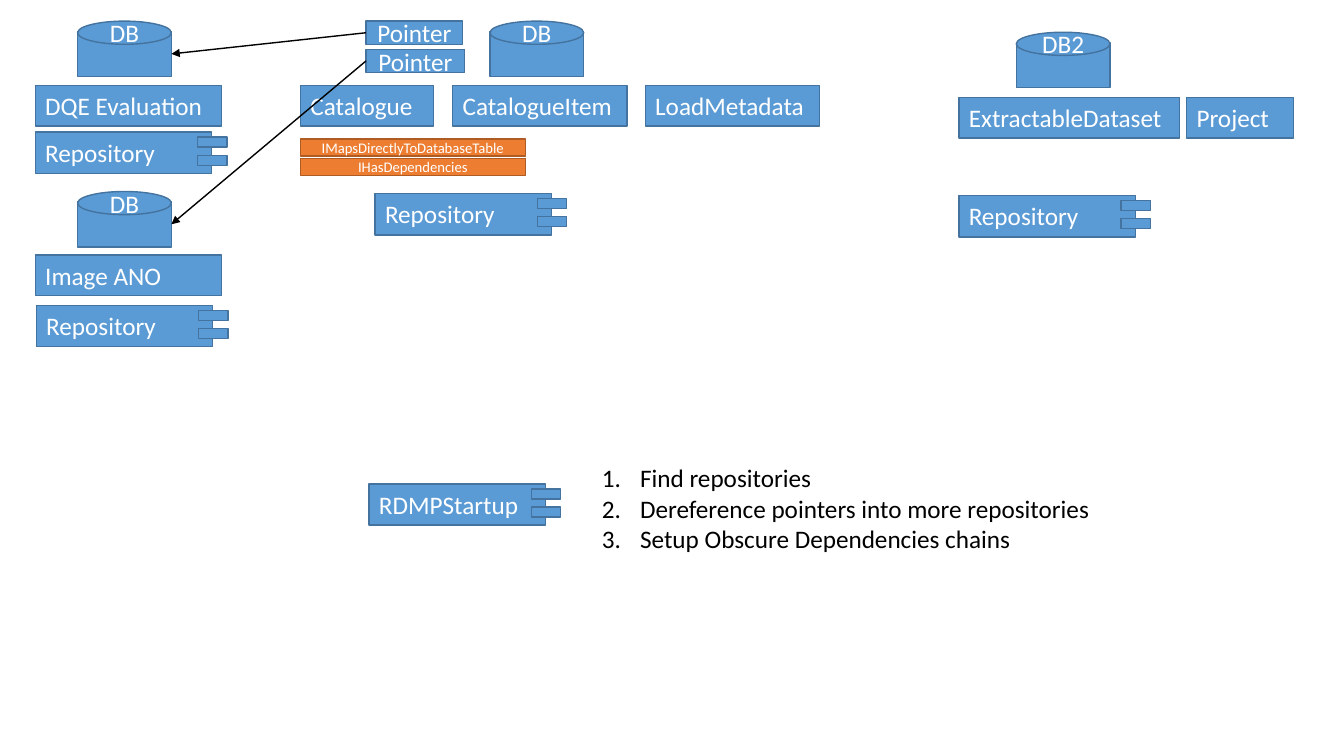
from pptx import Presentation
from pptx.dml.color import RGBColor
from pptx.enum import shapes, text
from pptx.oxml.ns import qn
from pptx.util import Inches, Pt
from lxml import etree

BLUE, BLUE_EDGE = "5B9BD5", "43739E"
ORANGE, ORANGE_EDGE = "ED7D31", "AF5C24"
RECT = shapes.MSO_SHAPE.RECTANGLE
OVAL = shapes.MSO_SHAPE.OVAL


def color(value):
    return RGBColor.from_string(value)


def style_text(paragraph, size, font_color):
    paragraph.font.size = Pt(size)
    paragraph.font.name = "Calibri"
    paragraph.font.color.rgb = color(font_color)


def add_block(parent, kind, left, top, width, height, fill=BLUE, edge=BLUE_EDGE):
    block = parent.add_shape(kind, Inches(left), Inches(top), Inches(width), Inches(height))
    block.shadow.inherit = False
    block.fill.solid()
    block.fill.fore_color.rgb = color(fill)
    block.line.color.rgb = color(edge)
    block.line.width = Pt(1)
    return block


def write_label(block, label, size=18, centered=True):
    frame = block.text_frame
    frame.word_wrap = True
    paragraph = frame.paragraphs[0]
    paragraph.text = label
    style_text(paragraph, size, "FFFFFF")
    if centered:
        frame.margin_left = frame.margin_right = 0
        frame.vertical_anchor = text.MSO_ANCHOR.MIDDLE
        paragraph.alignment = text.PP_ALIGN.CENTER
    else:
        frame.vertical_anchor = text.MSO_ANCHOR.TOP
        paragraph.alignment = text.PP_ALIGN.LEFT


def add_class(parent, label, left, top, width, height=0.4):
    write_label(add_block(parent, RECT, left, top, width, height), label, centered=False)


def add_database(parent, label, left, top):
    body = add_block(parent, RECT, left, top + 0.1, 0.93, 0.45)
    write_label(add_block(parent, OVAL, left, top, 0.93, 0.23), label)
    return body


def add_component(parent, label, left, top):
    parts = parent.add_group_shape().shapes
    add_class(parts, label, left, top, 1.75, 0.41)
    for offset in (0.05, 0.23):
        add_block(parts, RECT, left + 1.61, top + offset, 0.29, 0.1)


def add_interface(parent, label, top):
    bar = add_block(parent, RECT, 2.98, top, 2.23, 0.17, ORANGE, ORANGE_EDGE)
    write_label(bar, label, 10.5)


def add_pointer(parent, top, width, database):
    pointer = add_block(parent, RECT, 3.63, top, width, 0.23)
    write_label(pointer, "Pointer")
    arrow = parent.add_connector(shapes.MSO_CONNECTOR.STRAIGHT, 0, 0, 0, 0)
    arrow.begin_connect(pointer, 1)
    arrow.end_connect(database, 3)
    arrow.line.color.rgb = color("000000")
    arrow.line.width = Pt(1)
    etree.SubElement(arrow.line._get_or_add_ln(), qn("a:tailEnd"), type="triangle")
    etree.SubElement(arrow._element.spPr, qn("a:effectLst"))


def add_steps(parent, steps):
    box = parent.add_textbox(Inches(5.87), Inches(4.54), Inches(5.09), Inches(1.01))
    frame = box.text_frame
    frame.word_wrap = False
    frame.auto_size = text.MSO_AUTO_SIZE.SHAPE_TO_FIT_TEXT
    for index, step in enumerate(steps):
        paragraph = frame.add_paragraph() if index else frame.paragraphs[0]
        paragraph.text = step
        properties = paragraph._p.get_or_add_pPr()
        properties.set("marL", str(Inches(0.38)))
        properties.set("indent", str(-Inches(0.38)))
        etree.SubElement(properties, qn("a:buFont"), typeface="+mj-lt")
        etree.SubElement(properties, qn("a:buAutoNum"), type="arabicPeriod")
        style_text(paragraph, 18, "000000")


def main():
    deck = Presentation()
    deck.slide_width, deck.slide_height = Inches(13.33), Inches(7.5)
    canvas = deck.slides.add_slide(deck.slide_layouts[6]).shapes

    for label, left, top, width in (
        ("Catalogue", 2.98, 0.85, 1.32),
        ("CatalogueItem", 4.49, 0.85, 1.73),
        ("LoadMetadata", 6.4, 0.85, 1.73),
        ("ExtractableDataset", 9.51, 0.97, 2.19),
        ("Project", 11.77, 0.97, 1.06),
        ("DQE Evaluation", 0.35, 0.85, 1.85),
        ("Image ANO", 0.35, 2.53, 1.85),
    ):
        add_class(canvas, label, left, top, width)

    add_interface(canvas, "IMapsDirectlyToDatabaseTable", 1.38)
    add_interface(canvas, "IHasDependencies", 1.57)

    for label, left, top in (
        ("Repository", 3.72, 1.92),
        ("Repository", 9.51, 1.94),
        ("RDMPStartup", 3.66, 4.8),
        ("Repository", 0.36, 3.03),
        ("Repository", 0.35, 1.31),
    ):
        add_component(canvas, label, left, top)

    add_database(canvas, "DB", 4.86, 0.21)
    add_database(canvas, "DB2", 10.08, 0.32)
    evaluation_db = add_database(canvas, "DB", 0.77, 0.21)
    image_db = add_database(canvas, "DB", 0.77, 1.9)
    add_pointer(canvas, 0.21, 0.96, evaluation_db)
    add_pointer(canvas, 0.49, 0.98, image_db)

    add_steps(canvas, (
        "Find repositories",
        "Dereference pointers into more repositories",
        "Setup Obscure Dependencies chains",
    ))
    deck.save("out.pptx")


if __name__ == "__main__":
    main()
